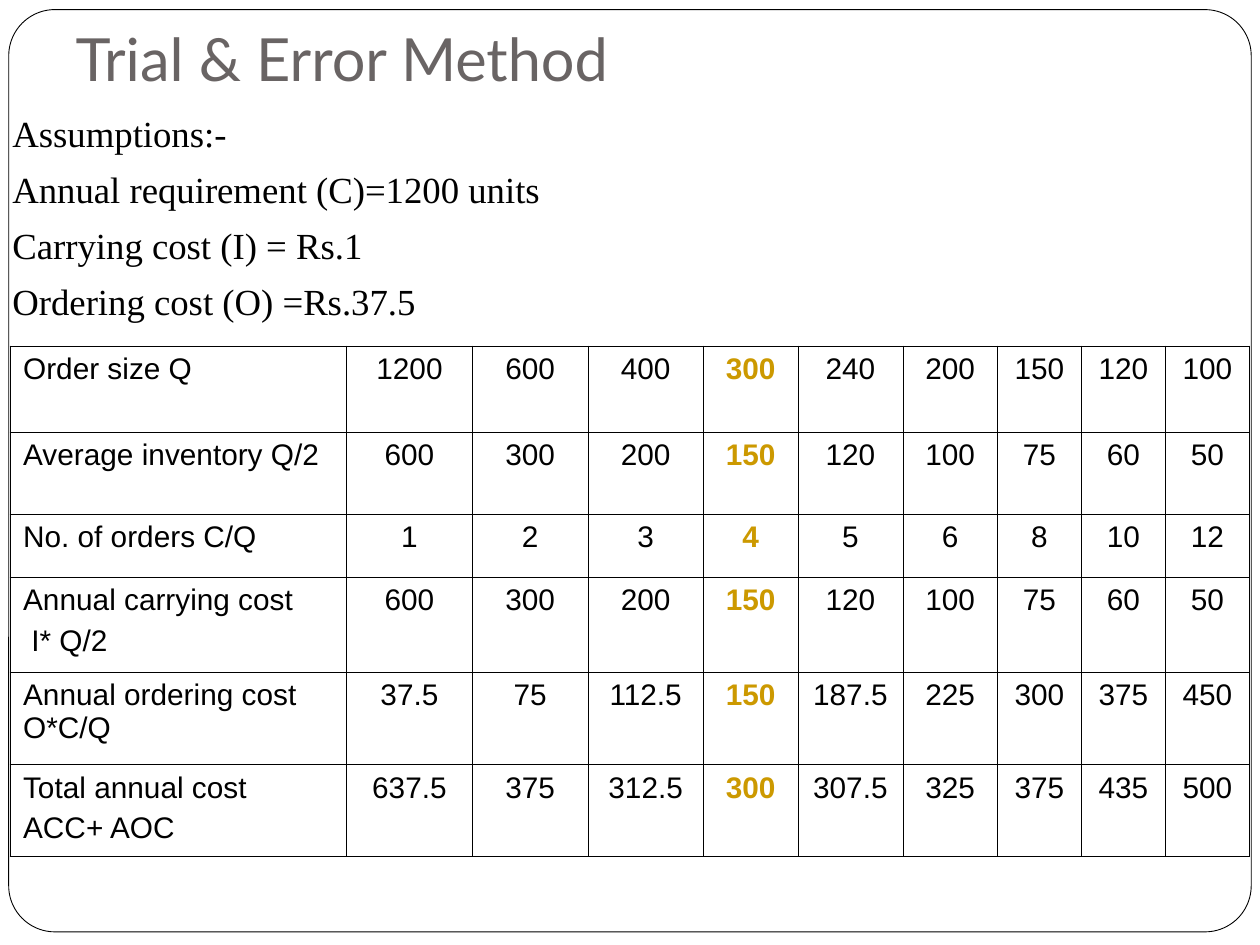
from lxml import etree
from pptx import Presentation
from pptx.dml.color import RGBColor
from pptx.enum import shapes, text
from pptx.oxml.ns import qn
from pptx.util import Pt

BLACK, GREY, GOLD = "000000", "696464", "CC9900"
THIN, THICK = 0.45, 1.08


def style(paragraph, font_name, size, color, bold=False):
    font = paragraph.font
    font.name, font.size, font.bold = font_name, Pt(size), bold
    font.color.rgb = RGBColor.from_string(color)


def add_border(cell, side, width):
    """Draw one side (L, R, T or B) of a cell as a black line."""
    line = etree.SubElement(cell._tc.get_or_add_tcPr(), qn(f"a:ln{side}"), w=str(Pt(width)))
    fill = etree.SubElement(line, qn("a:solidFill"))
    etree.SubElement(fill, qn("a:srgbClr"), val=BLACK)


deck = Presentation()
deck.slide_width, deck.slide_height = Pt(720), Pt(540)
page = deck.slides.add_slide(deck.slide_layouts[5])

# Rounded frame behind everything
frame = page.shapes.add_shape(
    shapes.MSO_SHAPE.ROUNDED_RECTANGLE, Pt(5), Pt(5.5), Pt(710), Pt(527))
frame.adjustments[0] = 0.05
frame.shadow.inherit = False
frame.fill.solid()
frame.fill.fore_color.rgb = RGBColor.from_string("FFFFFF")
frame.line.color.rgb = RGBColor.from_string(BLACK)
frame.line.width = Pt(0.5)
page.shapes._spTree.insert(2, frame._element)

# Title
title = page.shapes.title
title.left, title.top, title.width, title.height = Pt(36), Pt(21.6), Pt(648), Pt(26)
title_frame = title.text_frame
title_frame.text = "Trial & Error Method"
title_frame.auto_size = text.MSO_AUTO_SIZE.NONE
title_frame.vertical_anchor = text.MSO_ANCHOR.MIDDLE
title_frame.margin_top, title_frame.margin_bottom = Pt(3.6), Pt(7.2)
title_frame.paragraphs[0].alignment = text.PP_ALIGN.LEFT
style(title_frame.paragraphs[0], "Lato", 34, GREY)

# Assumptions
assumptions = page.shapes.add_textbox(Pt(0), Pt(60), Pt(720), Pt(468)).text_frame
assumptions.word_wrap = True
assumptions.text = "\n".join([
    "Assumptions:-",
    "Annual requirement (C)=1200 units",
    "Carrying cost (I) = Rs.1",
    "Ordering cost (O) =Rs.37.5",
])
for index, paragraph in enumerate(assumptions.paragraphs):
    style(paragraph, "Times New Roman", 21, BLACK)
    if index:
        paragraph.space_before = Pt(6.7)

# Cost table
rows = [
    ["Order size Q", "1200", "600", "400", "300", "240", "200", "150", "120", "100"],
    ["Average inventory Q/2", "600", "300", "200", "150", "120", "100", "75", "60", "50"],
    ["No. of orders C/Q", "1", "2", "3", "4", "5", "6", "8", "10", "12"],
    ["Annual carrying cost\n I* Q/2",
     "600", "300", "200", "150", "120", "100", "75", "60", "50"],
    ["Annual ordering cost O*C/Q",
     "37.5", "75", "112.5", "150", "187.5", "225", "300", "375", "450"],
    ["Total annual cost\nACC+ AOC",
     "637.5", "375", "312.5", "300", "307.5", "325", "375", "435", "500"],
]
column_widths = [192, 72, 66, 66, 54, 60, 54, 48, 48, 48]
row_heights = [49, 47, 36, 54, 53, 52.5]
best_column = 4
last_row, last_column = len(rows) - 1, len(column_widths) - 1

table = page.shapes.add_table(
    len(rows), len(column_widths), Pt(6), Pt(198),
    Pt(sum(column_widths)), Pt(sum(row_heights))).table
table.first_row = table.horz_banding = False
for column, width in zip(table.columns, column_widths):
    column.width = Pt(width)
for row, height in zip(table.rows, row_heights):
    row.height = Pt(height)

for r, values in enumerate(rows):
    for c, value in enumerate(values):
        cell = table.cell(r, c)
        outer_sides = {"L": c == 0, "R": c == last_column, "T": r == 0, "B": r == last_row}
        for side, is_outer in outer_sides.items():
            add_border(cell, side, THICK if is_outer else THIN)
        cell.fill.background()
        cell.text = value
        is_best = c == best_column
        for index, paragraph in enumerate(cell.text_frame.paragraphs):
            paragraph.alignment = text.PP_ALIGN.CENTER if c else text.PP_ALIGN.LEFT
            if index:
                paragraph.space_before = Pt(4.2)
            style(paragraph, "Arial", 17, GOLD if is_best else BLACK, is_best)

deck.save("out.pptx")
